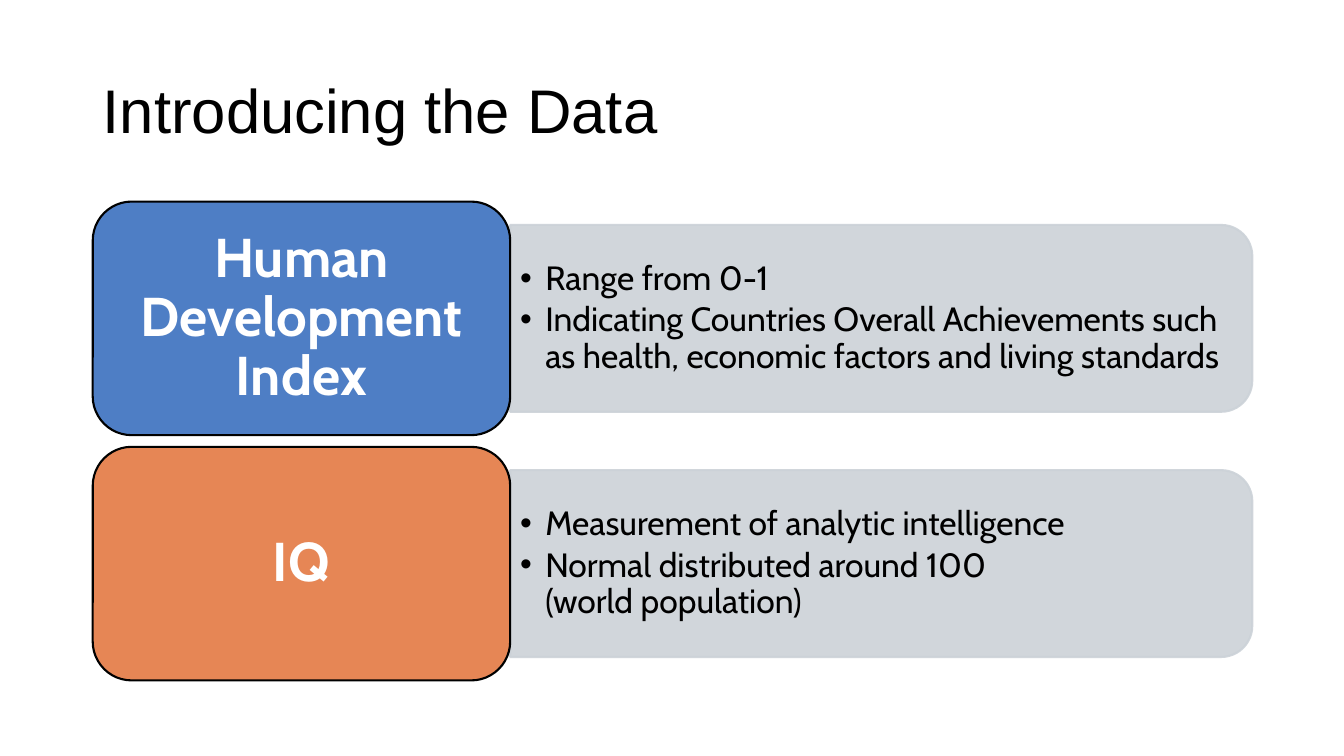
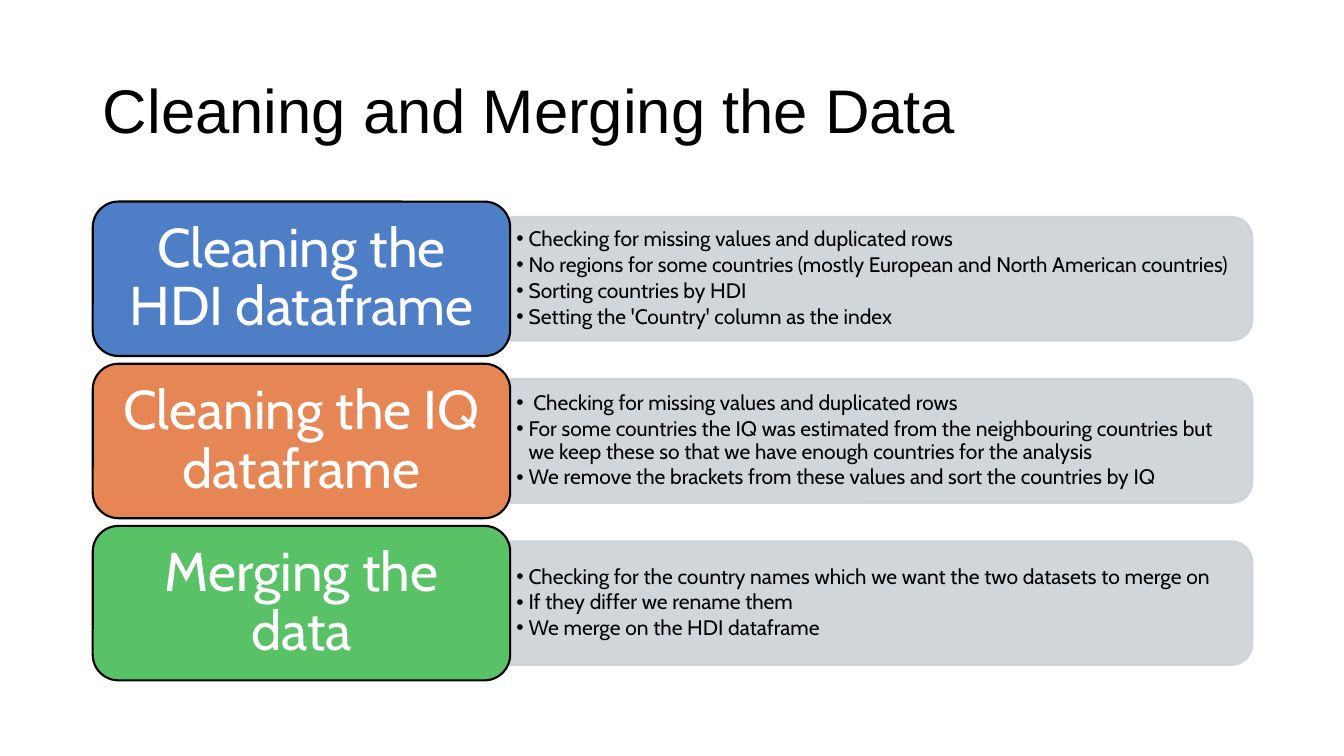
from dataclasses import dataclass

import lxml.etree
import pptx
import pptx.dml.color
import pptx.enum.shapes
import pptx.enum.text
import pptx.oxml.ns
import pptx.util

Inches = pptx.util.Inches
Pt = pptx.util.Pt
SHAPE = pptx.enum.shapes.MSO_SHAPE
ALIGN = pptx.enum.text.PP_ALIGN
MIDDLE = pptx.enum.text.MSO_ANCHOR.MIDDLE
qn = pptx.oxml.ns.qn


@dataclass(frozen=True)
class Theme:
    black: str = "000000"
    white: str = "FFFFFF"
    panel: str = "CCD2D8"
    accents: tuple = ("4E7EC5", "E68655", "59C267")
    panel_alpha: int = 90
    title_font: str = "Arial"
    body_font: str = "Cabin"
    title_size: int = 44
    label_size: int = 39
    line_width: float = 1.5
    line_spacing: float = 0.9
    left: float = 0.92
    top: float = 2
    height: float = 4.75
    label_width: float = 4.14
    panel_width: float = 7.36
    gap_ratio: float = 0.05
    panel_ratio: float = 0.8
    corner_inset: float = 0.05


def rgb(value):
    return pptx.dml.color.RGBColor.from_string(value)


class Deck:
    """Builds slides of coloured labels with bulleted panels."""

    def __init__(self, theme):
        self.theme = theme
        self.prs = pptx.Presentation()
        self.prs.slide_width = Inches(13.33)
        self.prs.slide_height = Inches(7.5)
        self.s = None

    def slide(self, title):
        t = self.theme
        self.s = self.prs.slides.add_slide(self.prs.slide_layouts[5])
        sp = self.s.shapes.title
        sp.left, sp.top = Inches(t.left), Inches(0.4)
        sp.width, sp.height = Inches(11.5), Inches(1.45)
        tf = self.frame(sp, 0.1, 0.05)
        self.add_text(tf.paragraphs[0], title, t.title_font, t.title_size, t.black)

    def frame(self, sp, inset_x, inset_y):
        tf = sp.text_frame
        tf.word_wrap = True
        tf.auto_size = pptx.enum.text.MSO_AUTO_SIZE.NONE
        tf.vertical_anchor = MIDDLE
        tf.margin_left = tf.margin_right = Inches(inset_x)
        tf.margin_top = tf.margin_bottom = Inches(inset_y)
        return tf

    def add_text(self, p, text, font, size, color, bold=False, align=ALIGN.LEFT):
        p.alignment = align
        p.line_spacing = self.theme.line_spacing
        for i, line in enumerate(text.split("\n")):
            if i:
                p.add_line_break()
            r = p.add_run()
            r.text = line
            r.font.name = font
            r.font.size = Pt(size)
            r.font.bold = bold
            r.font.color.rgb = rgb(color)

    def shape(self, kind, x, y, w, h, fill, line):
        sp = self.s.shapes.add_shape(kind, Inches(x), Inches(y), Inches(w), Inches(h))
        sp.shadow.inherit = False
        sp.fill.solid()
        sp.fill.fore_color.rgb = rgb(fill)
        sp.line.color.rgb = rgb(line)
        sp.line.width = Pt(self.theme.line_width)
        return sp

    def panel(self, x, y, w, h):
        t = self.theme
        sp = self.shape(SHAPE.ROUND_2_SAME_RECTANGLE, x + (w - h) / 2,
                        y + (h - w) / 2, h, w, t.panel, t.panel)
        sp.rotation = 90
        for color in sp._element.spPr.iter(qn("a:srgbClr")):
            lxml.etree.SubElement(color, qn("a:alpha"), val=str(t.panel_alpha * 1000))

    def bullets(self, x, y, w, h, items, size, indent):
        t = self.theme
        inset = h * t.corner_inset
        sp = self.s.shapes.add_textbox(Inches(x), Inches(y + inset),
                                       Inches(w - inset), Inches(h - 2 * inset))
        tf = self.frame(sp, size / 240, size / 480)
        for i, item in enumerate(items):
            p = tf.add_paragraph() if i else tf.paragraphs[0]
            self.add_text(p, item, t.body_font, size, t.black)
            p.space_after = Pt(size * 0.15)
            pPr = p._p.get_or_add_pPr()
            pPr.set("marL", str(Inches(indent)))
            pPr.set("indent", str(-Inches(indent)))
            lxml.etree.SubElement(pPr, qn("a:buFont"), typeface=t.title_font)
            lxml.etree.SubElement(pPr, qn("a:buChar"), char="•")

    def label(self, y, h, text, fill, bold):
        t = self.theme
        sp = self.shape(SHAPE.ROUNDED_RECTANGLE, t.left, y, t.label_width, h,
                        fill, t.black)
        tf = self.frame(sp, 0.16, 0.08)
        self.add_text(tf.paragraphs[0], text, t.body_font, t.label_size, t.white,
                      bold, ALIGN.CENTER)

    def rows(self, rows, size, indent, bold=False):
        t = self.theme
        n = len(rows)
        h = t.height / (n + t.gap_ratio * (n - 1))
        panel_h = h * t.panel_ratio
        x = t.left + t.label_width
        for i, (text, items) in enumerate(rows):
            y = t.top + i * h * (1 + t.gap_ratio)
            box = (x, y + (h - panel_h) / 2, t.panel_width, panel_h)
            self.panel(*box)
            self.bullets(*box, items, size, indent)
            self.label(y, h, text, t.accents[i], bold)


def main():
    deck = Deck(Theme())

    deck.slide("Introducing the Data")
    deck.rows([
        ("Human Development Index", [
            "Range from 0-1",
            "Indicating Countries Overall Achievements such as health, "
            "economic factors and living standards",
        ]),
        ("IQ", [
            "Measurement of analytic intelligence",
            "Normal distributed around 100\n(world population)",
        ]),
    ], size=24, indent=0.25, bold=True)

    deck.slide("Cleaning and Merging the Data")
    deck.rows([
        ("Cleaning the HDI dataframe", [
            "Checking for missing values and duplicated rows",
            "No regions for some countries (mostly European and North American countries)",
            "Sorting countries by HDI",
            "Setting the 'Country' column as the index",
        ]),
        ("Cleaning the IQ dataframe", [
            " Checking for missing values and duplicated rows",
            "For some countries the IQ was estimated from the neighbouring countries "
            "but we keep these so that we have enough countries for the analysis",
            "We remove the brackets from these values and sort the countries by IQ",
        ]),
        ("Merging the data", [
            "Checking for the country names which we want the two datasets to merge on",
            "If they differ we rename them",
            "We merge on the HDI dataframe",
        ]),
    ], size=15, indent=0.12)

    deck.prs.save("out.pptx")


if __name__ == "__main__":
    main()
